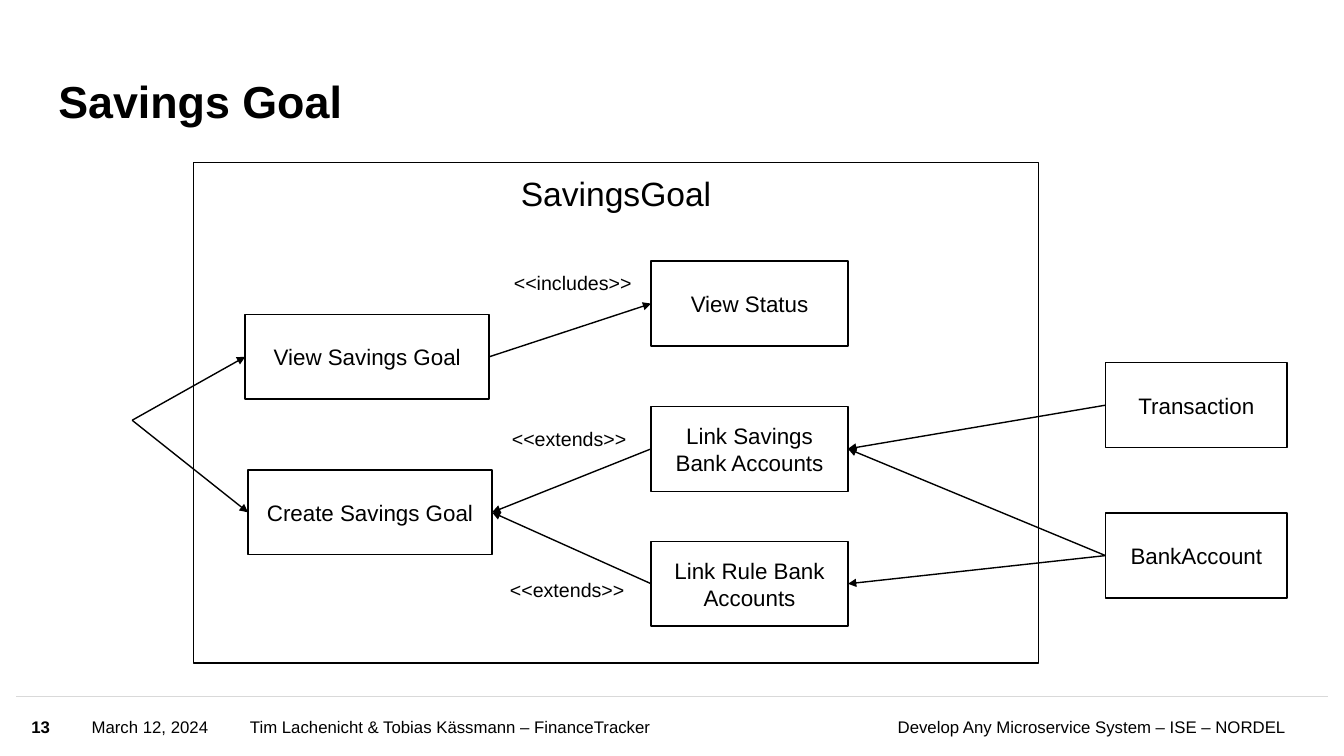
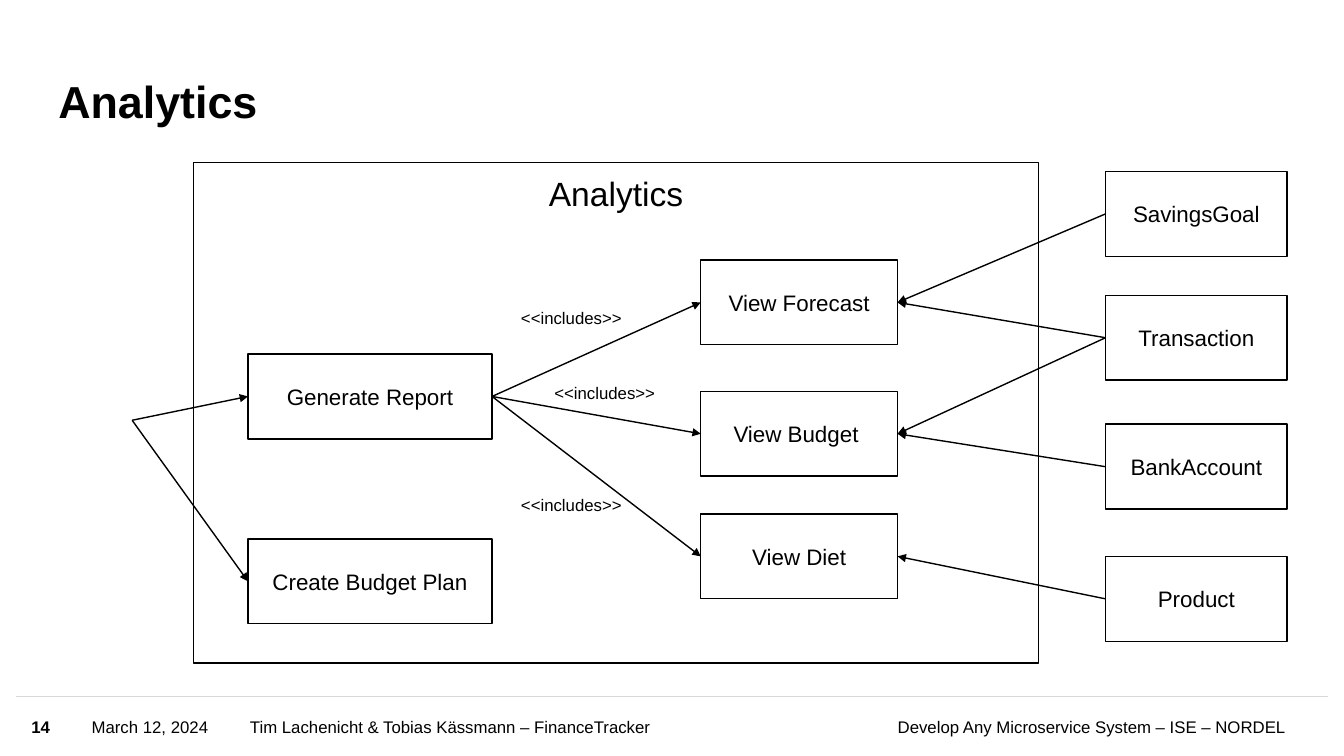
from dataclasses import dataclass

from lxml.etree import SubElement
from pptx import Presentation
from pptx.dml.color import RGBColor
from pptx.enum.shapes import MSO_CONNECTOR as Line, MSO_SHAPE as Preset
from pptx.enum.text import MSO_ANCHOR as Anchor, MSO_AUTO_SIZE as AutoSize, PP_ALIGN as Align
from pptx.oxml.ns import qn
from pptx.util import Cm, Pt

BLACK = RGBColor(0x00, 0x00, 0x00)
GREY = RGBColor(0xD9, 0xD9, 0xD9)
FONT = "Arial"
LEFT_SIDE, RIGHT_SIDE = 1, 3

# Shared geometry in centimetres
FRAME = (4.88, 4.09, 21.29, 12.62)
ACTOR = (3.33, 10.59)
BOX_HEIGHT = 2.14
INNER_X, INNER_W = 6.25, 6.15
MIDDLE_W = 4.96
OUTER_X, OUTER_W = 27.86, 4.58
FOOTER_Y, FOOTER_H = 17.58, 1.47

NO_MARGINS = {f"margin_{side}": 0 for side in ("left", "top", "right", "bottom")}
PLAIN_FRAME = {"word_wrap": True, **NO_MARGINS}
TITLE_FRAME = {"vertical_anchor": Anchor.BOTTOM, **PLAIN_FRAME}
FOOTER_FRAME = {"vertical_anchor": Anchor.MIDDLE, **PLAIN_FRAME}
BOX_FRAME = {"vertical_anchor": Anchor.MIDDLE, "word_wrap": True}
LABEL_FRAME = {"word_wrap": False, "auto_size": AutoSize.SHAPE_TO_FIT_TEXT}


@dataclass
class Box:
    text: str
    left: float
    top: float
    width: float


@dataclass
class Label:
    text: str
    left: float
    top: float
    width: float
    height: float
    size: int


@dataclass
class UseCases:
    number: int
    title: str
    heading: str
    heading_width: float
    boxes: list[Box]
    actor_targets: list[str]
    links: list[tuple[str, str]]
    labels: list[Label]


def apply(target, values: dict) -> None:
    for name, value in values.items():
        setattr(target, name, value)


def write(sp, text: str, size: int, frame: dict, align=Align.LEFT,
          bold: bool = False, spacing: float = 1.0) -> None:
    tf = sp.text_frame
    apply(tf, frame)
    p = tf.paragraphs[0]
    apply(p, {"alignment": align, "line_spacing": spacing})
    r = p.add_run()
    r.text = text
    apply(r.font, {"name": FONT, "size": Pt(size), "bold": bold})
    r.font.color.rgb = BLACK


def add_text(s, at: tuple, text: str, size: int, frame: dict, **style) -> None:
    sp = s.shapes.add_textbox(*map(Cm, at))
    write(sp, text, size, frame, **style)


def add_rect(s, at: tuple):
    sp = s.shapes.add_shape(Preset.RECTANGLE, *map(Cm, at))
    sp.shadow.inherit = False
    sp.fill.background()
    sp.line.color.rgb = BLACK
    sp.line.width = Pt(1)
    return sp


def add_line(s, start: tuple, end: tuple, color: RGBColor = BLACK, arrow: bool = True):
    line = s.shapes.add_connector(Line.STRAIGHT, *map(Cm, start + end))
    line.line.color.rgb = color
    line.line.width = Pt(1)
    if arrow:
        SubElement(line.line._get_or_add_ln(), qn("a:tailEnd"), type="triangle")
    SubElement(line._element.spPr, qn("a:effectLst"))
    return line


def add_title_and_footer(s, title: str, number: int) -> None:
    add_line(s, (0.41, 17.55), (33.48, 17.55), GREY, arrow=False)
    footer = [
        (0.79, 1.22, str(number), {"bold": True}),
        (2.31, 3.81, "March 12, 2024", {}),
        (6.3, 13.64, "Tim Lachenicht & Tobias Kässmann – FinanceTracker", {}),
        (20.4, 12.01, "Develop Any Microservice System – ISE – NORDEL", {"align": Align.RIGHT}),
    ]
    for left, width, text, style in footer:
        add_text(s, (left, FOOTER_Y, width, FOOTER_H), text, 12, FOOTER_FRAME, **style)
    add_text(s, (1.47, 1.09, 25.45, 2.13), title, 32, TITLE_FRAME, bold=True, spacing=0.9)


def add_diagram(prs, d: UseCases) -> None:
    s = prs.slides.add_slide(prs.slide_layouts[6])
    add_title_and_footer(s, d.title, d.number)

    # System frame and its heading
    add_rect(s, FRAME)
    heading_x = FRAME[0] + (FRAME[2] - d.heading_width) / 2
    add_text(s, (heading_x, 4.24, d.heading_width, 1.28), d.heading, 24,
             LABEL_FRAME, align=Align.CENTER)

    # Use cases and neighbouring systems
    rects = {}
    for b in d.boxes:
        sp = rects[b.text] = add_rect(s, (b.left, b.top, b.width, BOX_HEIGHT))
        write(sp, b.text, 16, BOX_FRAME, align=Align.CENTER)

    # Arrows
    for name in d.actor_targets:
        add_line(s, ACTOR, ACTOR).end_connect(rects[name], LEFT_SIDE)
    for source, target in d.links:
        begin, end = rects[source], rects[target]
        sides = (RIGHT_SIDE, LEFT_SIDE) if begin.left < end.left else (LEFT_SIDE, RIGHT_SIDE)
        line = add_line(s, ACTOR, ACTOR)
        line.begin_connect(begin, sides[0])
        line.end_connect(end, sides[1])

    # Arrow labels
    for a in d.labels:
        add_text(s, (a.left, a.top, a.width, a.height), a.text, a.size, LABEL_FRAME)


def column(left: float, width: float, tops: dict[str, float]) -> list[Box]:
    return [Box(text, left, top, width) for text, top in tops.items()]


SAVINGS = UseCases(
    13, "Savings Goal", "SavingsGoal", 5.36,
    boxes=[
        Box("View Savings Goal", 6.18, 7.92, INNER_W),
        Box("Create Savings Goal", INNER_X, 11.84, INNER_W),
        *column(16.41, MIDDLE_W, {"View Status": 6.58, "Link Savings Bank Accounts": 10.24,
                                  "Link Rule Bank Accounts": 13.64}),
        *column(OUTER_X, OUTER_W, {"Transaction": 9.14, "BankAccount": 12.93}),
    ],
    actor_targets=["View Savings Goal", "Create Savings Goal"],
    links=[
        ("View Savings Goal", "View Status"),
        ("Link Savings Bank Accounts", "Create Savings Goal"),
        ("Link Rule Bank Accounts", "Create Savings Goal"),
        ("Transaction", "Link Savings Bank Accounts"),
        ("BankAccount", "Link Savings Bank Accounts"),
        ("BankAccount", "Link Rule Bank Accounts"),
    ],
    labels=[
        Label("<<includes>>", 12.7, 6.71, 3.51, 0.86, 14),
        Label("<<extends>>", 12.65, 10.64, 3.4, 0.86, 14),
        Label("<<extends>>", 12.6, 14.43, 3.4, 0.86, 14),
    ],
)

ANALYTICS = UseCases(
    14, "Analytics", "Analytics", 3.94,
    boxes=[
        *column(INNER_X, INNER_W, {"Generate Report": 8.92, "Create Budget Plan": 13.58}),
        *column(17.66, MIDDLE_W, {"View Forecast": 6.55, "View Budget ": 9.86,
                                  "View Diet": 12.95}),
        *column(OUTER_X, OUTER_W, {"SavingsGoal": 4.32, "Transaction": 7.44,
                                   "BankAccount": 10.69, "Product": 14.02}),
    ],
    actor_targets=["Generate Report", "Create Budget Plan"],
    links=[
        ("Generate Report", "View Forecast"),
        ("Generate Report", "View Budget "),
        ("Generate Report", "View Diet"),
        ("SavingsGoal", "View Forecast"),
        ("Transaction", "View Forecast"),
        ("Transaction", "View Budget "),
        ("BankAccount", "View Budget "),
        ("Product", "View Diet"),
    ],
    labels=[Label("<<includes>>", left, top, 3.07, 0.76, 12)
            for left, top in ((12.88, 7.62), (13.72, 9.53), (12.88, 12.34))],
)


def main() -> None:
    prs = Presentation()
    prs.slide_width, prs.slide_height = Cm(33.87), Cm(19.05)
    for diagram in (SAVINGS, ANALYTICS):
        add_diagram(prs, diagram)
    prs.save("out.pptx")


if __name__ == "__main__":
    main()
